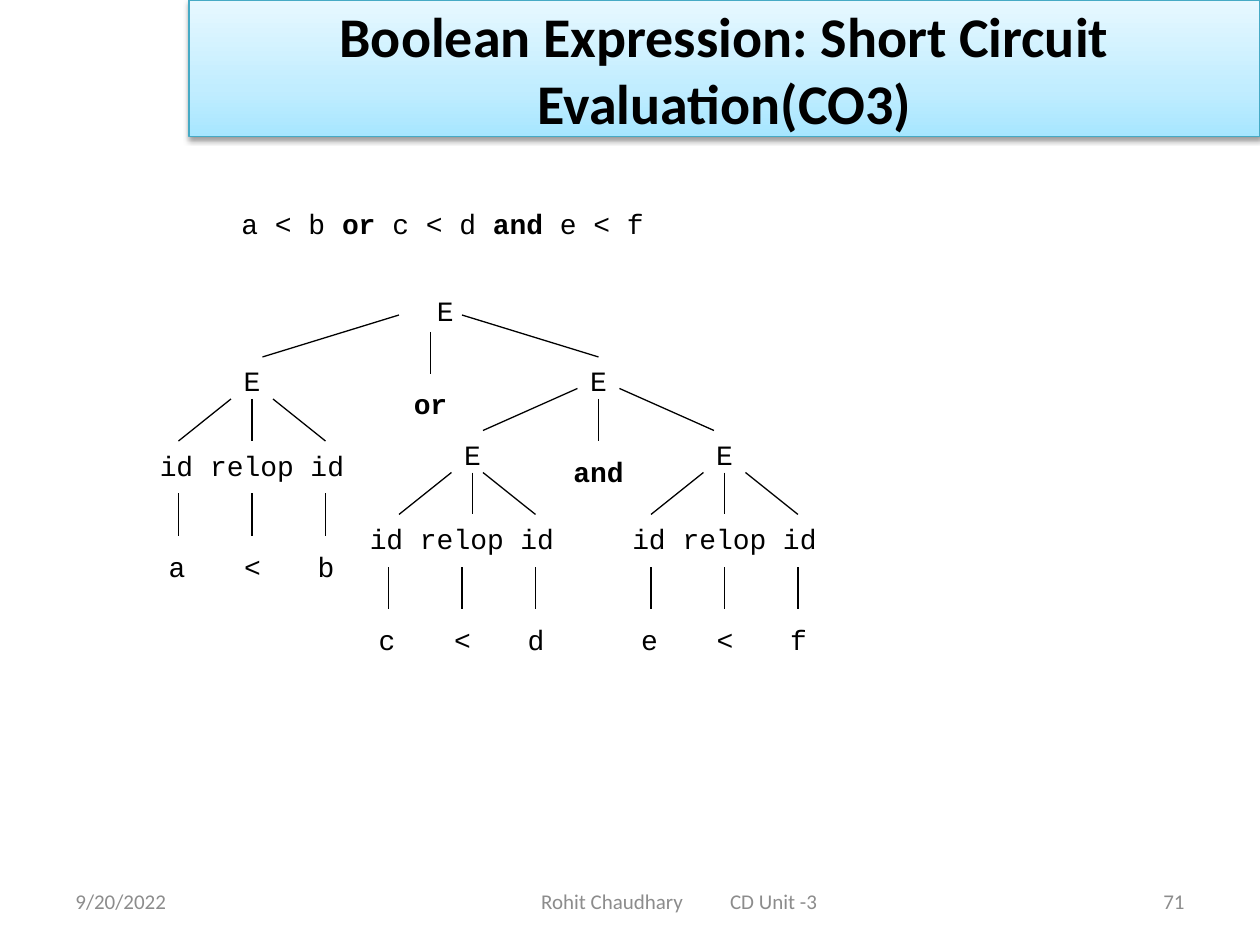
from copy import deepcopy

from lxml.etree import SubElement
from pptx import Presentation
from pptx.dml.color import RGBColor
from pptx.enum.shapes import MSO_CONNECTOR
from pptx.enum.text import MSO_ANCHOR, MSO_AUTO_SIZE, PP_ALIGN
from pptx.oxml import parse_xml
from pptx.oxml.ns import nsdecls, qn
from pptx.util import Inches, Pt

BLACK = RGBColor(0x00, 0x00, 0x00)
GRAY = RGBColor(0x8C, 0x8C, 0x8C)
TEAL = RGBColor(0x46, 0xAA, 0xC5)
SKY = RGBColor(0xA7, 0xE6, 0xFF)
PALE = RGBColor(0xC1, 0xED, 0xFF)
ICE = RGBColor(0xE7, 0xF8, 0xFF)

CELL = Inches(1) // 12
COLUMNS, ROWS = 120, 90
CODE_FONT, BODY_FONT = "Courier New", "Calibri"


def grid(*cells):
    """Convert counts of grid cells to lengths."""
    return [round(cell * CELL) for cell in cells]


def style(span, font, size, color, bold=False):
    """Format one run."""
    span.font.name = font
    span.font.size = Pt(size)
    span.font.color.rgb = color
    span.font.bold = bold


def add_tabs(para, stops):
    """Set left tab stops, given in cells, on a paragraph."""
    tabs = SubElement(para._p.get_or_add_pPr(), qn("a:tabLst"))
    for stop in grid(*stops):
        SubElement(tabs, qn("a:tab"), pos=str(stop), algn="l")


def add_line(page, start, end):
    """Draw a thin black line between two grid points."""
    line = page.shapes.add_connector(MSO_CONNECTOR.STRAIGHT, *grid(*start, *end))
    line.line.color.rgb = BLACK
    line.line.width = Pt(0.75)
    SubElement(line._element.spPr, qn("a:effectLst"))


def add_code_box(page, left, top, width, height):
    """Add a text box without side insets and return its frame."""
    frame = page.shapes.add_textbox(*grid(left, top, width, height)).text_frame
    frame.margin_left = frame.margin_right = frame.margin_bottom = 0
    frame.margin_top = Inches(0.02)
    return frame


def add_label(page, center, top, text, width, bold=False):
    """Add one line of centred code text around a column."""
    frame = add_code_box(page, center - width / 2, top, width, 3.5)
    frame.text = text
    frame.paragraphs[0].alignment = PP_ALIGN.CENTER
    style(frame.paragraphs[0].runs[0], CODE_FONT, 16, BLACK, bold)


def add_title(page, left, top, width, height):
    """Format the title as a gradient banner with a shadow."""
    title = page.shapes.title
    title.left, title.top, title.width, title.height = grid(left, top, width, height)
    title.fill.gradient()
    title.fill.gradient_angle = 90
    for stop, color in zip(title.fill.gradient_stops, (SKY, ICE)):
        stop.color.rgb = color
    stops = title._element.spPr.find(qn("a:gradFill")).find(qn("a:gsLst"))
    stops.insert(1, deepcopy(stops[0]))
    for stop, share in zip(title.fill.gradient_stops, (0, 0.35, 1)):
        stop.position = share
    title.fill.gradient_stops[1].color.rgb = PALE
    title.line.color.rgb = TEAL
    title.line.width = Pt(0.75)
    title._element.spPr.append(parse_xml(
        f'<a:effectLst {nsdecls("a")}>'
        '<a:outerShdw blurRad="40000" dist="20000" dir="5400000" rotWithShape="0">'
        '<a:srgbClr val="000000"><a:alpha val="38000"/></a:srgbClr>'
        '</a:outerShdw></a:effectLst>'))
    frame = title.text_frame
    frame.text = "Boolean Expression: Short Circuit Evaluation(CO3)"
    frame.word_wrap = True
    frame.auto_size = MSO_AUTO_SIZE.NONE
    frame.vertical_anchor = MSO_ANCHOR.MIDDLE
    frame.paragraphs[0].alignment = PP_ALIGN.CENTER
    style(frame.paragraphs[0].runs[0], BODY_FONT, 32, BLACK, True)


def add_expression(page, left, top, width, height):
    """Write the expression with the root of its tree below."""
    frame = add_code_box(page, left, top, width, height)
    frame.word_wrap = True
    para = frame.paragraphs[0]
    for text in ("a < b ", "or ", "c < d ", "and ", "e < f"):
        span = para.add_run()
        span.text = text
        style(span, CODE_FONT, 16, BLACK, text in ("or ", "and "))
    root = frame.add_paragraph()
    root.text = "E"
    root.alignment = PP_ALIGN.CENTER
    root.space_before = Pt(31)
    style(root.runs[0], CODE_FONT, 16, BLACK)


def add_operator(page, center, top, near, far, drop, word):
    """Draw two branches and a stem that leads to an operator."""
    for side in (-1, 1):
        add_line(page, (center + side * near, top), (center + side * far, top + 4))
    add_line(page, (center, top + drop), (center, top + drop + 4))
    add_label(page, center, top + drop + 5, word, 5.2, True)


def add_comparison(page, head, middle, top, operands):
    """Draw the subtree of a comparison, fanning out from the given row."""
    add_label(page, head, top - 3.6, "E", 2)
    add_line(page, (head - 2, top), (head - 7, top + 4))
    add_line(page, (head, top), (head, top + 4))
    add_line(page, (middle + 2, top), (middle + 7, top + 4))
    add_label(page, middle, top + 4.45, "id relop id", 18)
    for offset in (-7, 0, 7):
        add_line(page, (middle + offset, top + 9), (middle + offset, top + 13))
    frame = add_code_box(page, middle - 7.95, top + 14.05, 16, 3.5)
    frame.text = "\t<\t".join(operands)
    para = frame.paragraphs[0]
    add_tabs(para, (7.2, 14.2))
    style(para.runs[0], CODE_FONT, 16, BLACK)


def add_footer(page, left, top, width, height):
    """Place the date, the course line and the page number."""
    parts = (("9/20/2022", 0, 28, PP_ALIGN.LEFT),
             ("Rohit Chaudhary\tCD Unit -3", 35, 49, PP_ALIGN.LEFT),
             ("71", width - 28, 28, PP_ALIGN.RIGHT))
    for text, offset, span_width, alignment in parts:
        box = page.shapes.add_textbox(*grid(left + offset, top, span_width, height))
        frame = box.text_frame
        frame.text = text
        frame.word_wrap = True
        frame.vertical_anchor = MSO_ANCHOR.MIDDLE
        para = frame.paragraphs[0]
        para.alignment = alignment
        if "\t" in text:
            para._p.get_or_add_pPr().set("marL", str(Inches(0.78)))
            para._p.get_or_add_pPr().set("indent", "0")
            add_tabs(para, (28.7,))
        style(para.runs[0], BODY_FONT, 12, GRAY)


def main():
    """Build the deck with its single page."""
    deck = Presentation()
    deck.slide_width, deck.slide_height = grid(COLUMNS, ROWS)
    page = deck.slides.add_slide(deck.slide_layouts[5])
    add_title(page, 18, 0, COLUMNS - 18, 13)
    add_expression(page, 23, 19.4, 38.8, 11.5)
    add_operator(page, 41, 30, 3, 16, 1.6, "or")
    add_label(page, 57, 34.4, "E", 2)
    add_operator(page, 57, 37, 2, 11, 1, "and")
    add_comparison(page, 24, 24, 38, "ab")
    add_comparison(page, 45, 44, 45, "cd")
    add_comparison(page, 69, 69, 45, "ef")
    add_footer(page, 6, 83.4, COLUMNS - 12, 4.8)
    deck.save("out.pptx")


if __name__ == "__main__":
    main()
